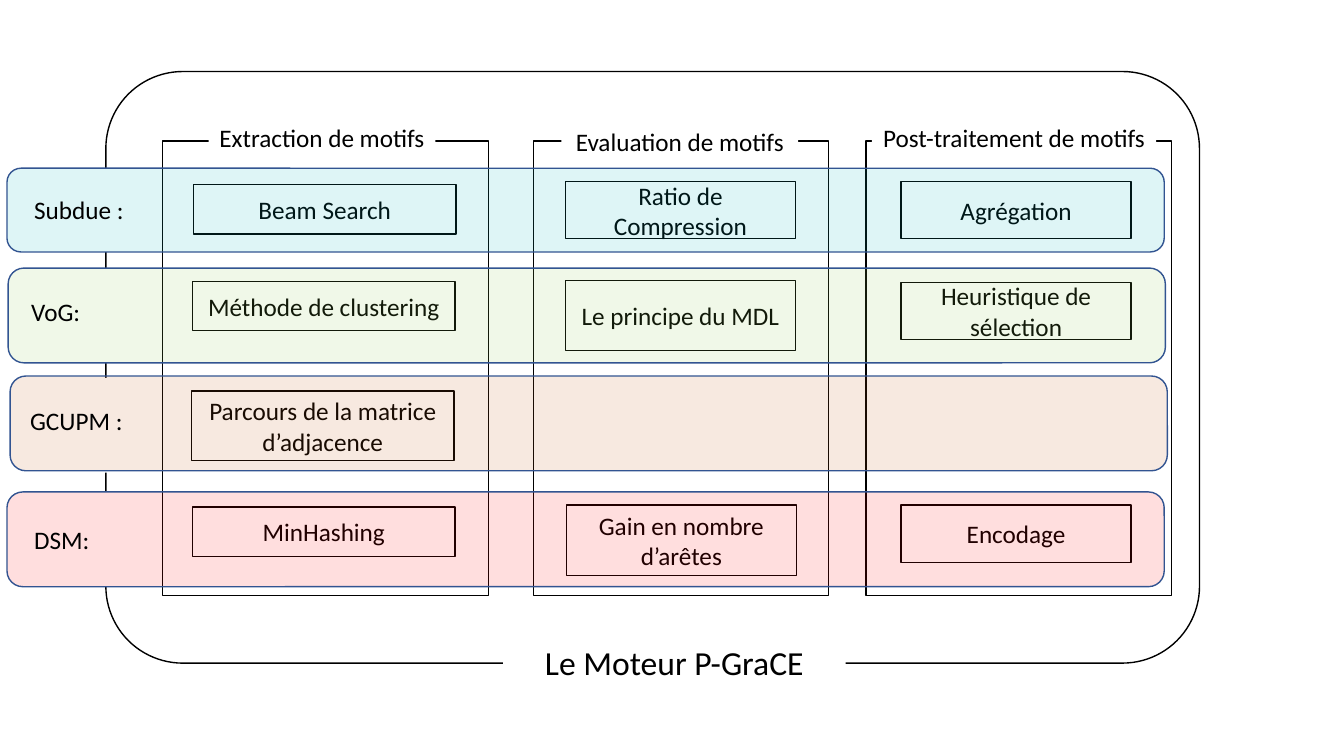
"""Build the slide of the P-GraCE engine: three stages crossed by four methods."""
from typing import NamedTuple

from lxml import etree
from pptx import Presentation
from pptx.dml.color import RGBColor
from pptx.enum.shapes import MSO_SHAPE
from pptx.enum.text import MSO_ANCHOR, MSO_AUTO_SIZE, PP_ALIGN
from pptx.oxml.ns import qn
from pptx.util import Pt

RECT, ROUND = MSO_SHAPE.RECTANGLE, MSO_SHAPE.ROUNDED_RECTANGLE
TOP, MIDDLE = MSO_ANCHOR.TOP, MSO_ANCHOR.MIDDLE
LEFT, CENTER = PP_ALIGN.LEFT, PP_ALIGN.CENTER
FIXED = MSO_AUTO_SIZE.NONE
BLACK, WHITE, BLUE = "000000", "FFFFFF", "325491"
FONT = "Calibri"
STAGE_TOP, STAGE_HIGH = 100.8, 324.7
BAND_WIDE, LABEL_WIDE, HEAD_HIGH = 826.6, 85, 28.8
BOX_WIDES = (187.5, 164.2, 164.2)


class Area(NamedTuple):
    left: float
    top: float
    wide: float
    high: float


class Stage(NamedTuple):
    text: str
    left: float
    wide: float
    head: Area


class Step(NamedTuple):
    text: str
    left: float
    top: float
    high: float


class Method(NamedTuple):
    text: str
    color: str
    band: Area
    mask: Area
    label: tuple[float, float]
    steps: list[Step]


def band(left: float, top: float, high: float = 67.7) -> Area:
    return Area(left, top, BAND_WIDE, high)


STAGES = [
    Stage("Extraction de motifs", 115.9, 233.3, Area(149, 84.2, 162, HEAD_HIGH)),
    Stage("Evaluation de motifs", 380.9, 211, Area(401, 86.4, 169.2, HEAD_HIGH)),
    Stage("Post-traitement de motifs", 618.5, 218.2, Area(622.8, 84.2, 203, HEAD_HIGH)),
]
METHODS = [
    Method("Subdue :", "00B3BE", band(5, 120.2, 59.8), Area(56.9, 120.2, 31.7, 59.8),
           (17.3, 135.4), [
               Step("Beam Search", 138.2, 131.8, 35.3),
               Step("Ratio de Compression", 403.9, 129.6, 41),
               Step("Agrégation", 643.7, 129.6, 41)]),
    Method("VoG:", "92D050", band(5.8, 191.5), Area(64.1, 191.5, 24.5, 67.7),
           (15.1, 208.1), [
               Step("Méthode de clustering", 137.5, 200.9, 35.3),
               Step("Le principe du MDL", 403.9, 200.2, 50.4),
               Step("Heuristique de sélection", 643.7, 201.6, 41)]),
    Method("GCUPM :", "C55A11", band(7.2, 268.6), Area(62.6, 270, 24.5, 67.7),
           (14.4, 285.8), [
               Step("Parcours de la matrice d’adjacence", 136.8, 279.4, 49.7)]),
    Method("DSM:", "FF0000", band(5, 351.4), Area(64.1, 351.4, 24.5, 67.7),
           (17.3, 370.8), [
               Step("MinHashing", 137.5, 362.2, 35.3),
               Step("Gain en nombre d’arêtes", 404.6, 360.7, 50.4),
               Step("Encodage", 643.7, 360.7, 41)]),
]


def paint(fill, color: str) -> None:
    fill.solid()
    fill.fore_color.rgb = RGBColor.from_string(color)


def place(area: Area) -> list[Pt]:
    return [Pt(side) for side in area]


def write(shape, text: str, size: float = 18, align=CENTER, anchor=MIDDLE) -> None:
    frame = shape.text_frame
    frame.word_wrap, frame.auto_size = True, FIXED
    frame.vertical_anchor = anchor
    para = frame.paragraphs[0]
    para.alignment = align
    run = para.add_run()
    run.text = text
    run.font.name, run.font.size = FONT, Pt(size)
    paint(run.font.fill, BLACK)


def draw(shapes, area: Area, kind=RECT, fill: str = WHITE, line: str | None = BLACK,
         alpha: int = 100):
    shape = shapes.add_shape(kind, *place(area))
    shape.shadow.inherit = False
    paint(shape.fill, fill)
    if alpha < 100:
        tint = shape.element.find(".//" + qn("a:srgbClr"))
        etree.SubElement(tint, qn("a:alpha"), val=str(alpha * 1000))
    if line:
        paint(shape.line.fill, line)
        shape.line.width = Pt(1)
    else:
        shape.line.fill.background()
    return shape


def add_stages(shapes) -> None:
    for stage in STAGES:
        draw(shapes, Area(stage.left, STAGE_TOP, stage.wide, STAGE_HIGH))
    for stage in STAGES:
        write(draw(shapes, stage.head, line=None), stage.text, anchor=TOP)


def add_method(shapes, method: Method) -> None:
    draw(shapes, method.mask, line=None)
    for step, wide in zip(method.steps, BOX_WIDES):
        write(draw(shapes, Area(step.left, step.top, wide, step.high)), step.text)
    draw(shapes, method.band, ROUND, method.color, BLUE, 13)
    label = shapes.add_textbox(*place(Area(*method.label, LABEL_WIDE, HEAD_HIGH)))
    write(label, method.text, align=LEFT, anchor=TOP)


def add_title(shapes) -> None:
    title = shapes.title
    title.left, title.top, title.width, title.height = place(Area(359.3, 455, 244.8, 36))
    paint(title.fill, WHITE)
    write(title, "Le Moteur P-GraCE", 24, anchor=TOP)
    title.element.getparent().append(title.element)


def main() -> None:
    deck = Presentation()
    deck.slide_width, deck.slide_height = Pt(960), Pt(540)
    shapes = deck.slides.add_slide(deck.slide_layouts[5]).shapes
    engine = draw(shapes, Area(75.6, 51.1, 781.2, 422.6), ROUND)
    engine.adjustments[0] = 0.13
    add_stages(shapes)
    for method in METHODS:
        add_method(shapes, method)
    add_title(shapes)
    deck.save("out.pptx")


main()
